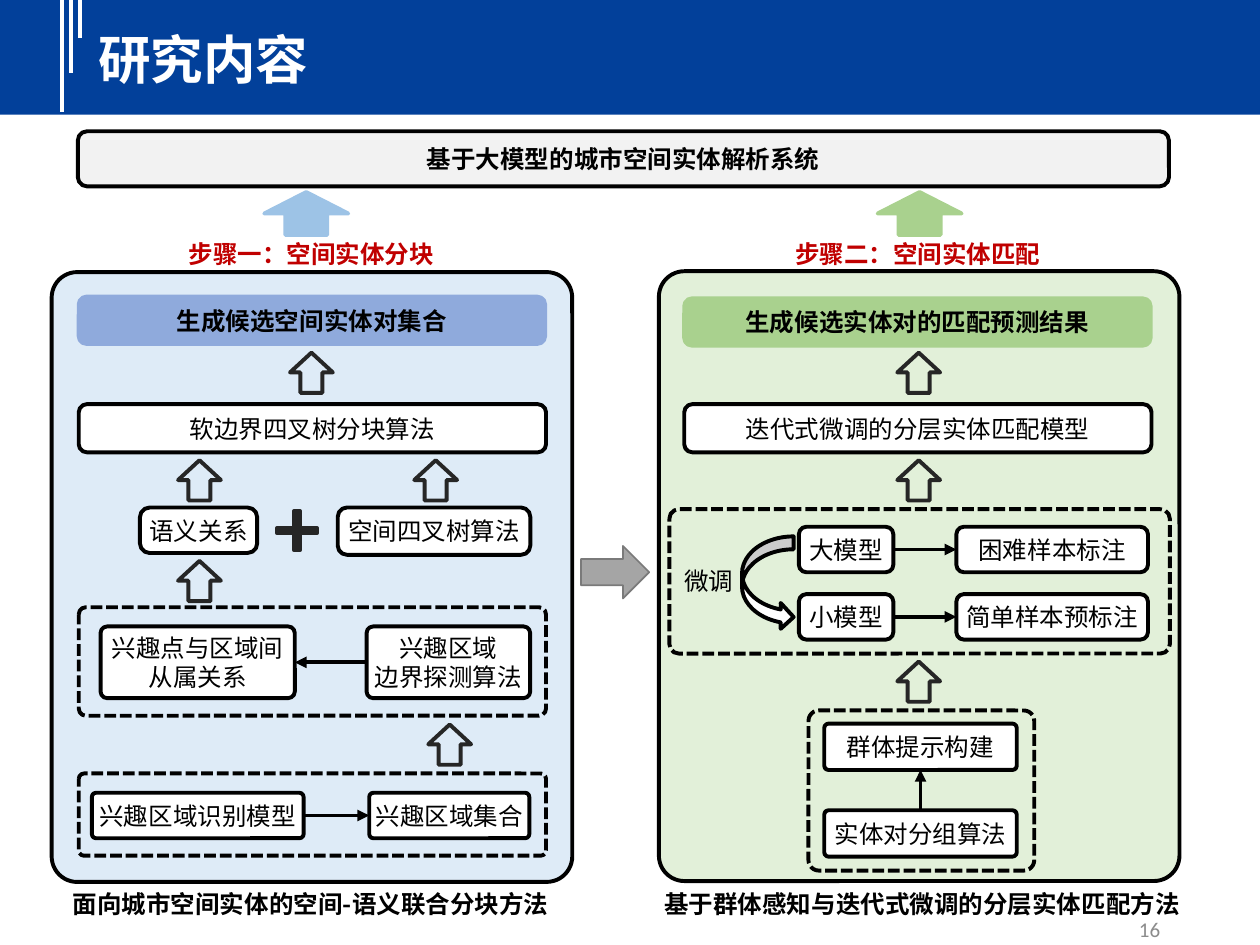
from dataclasses import dataclass

from lxml import etree
from pptx import Presentation
from pptx.dml.color import RGBColor
from pptx.enum.dml import MSO_LINE
from pptx.enum.shapes import MSO_CONNECTOR, MSO_SHAPE
from pptx.enum.text import MSO_ANCHOR, PP_ALIGN
from pptx.oxml.ns import qn
from pptx.util import Pt

STRAIGHT = MSO_CONNECTOR.STRAIGHT
ROUNDED, ARROW = MSO_SHAPE.ROUNDED_RECTANGLE, MSO_SHAPE.RIGHT_ARROW
RECT, PLUS, CURVED = MSO_SHAPE.RECTANGLE, MSO_SHAPE.CROSS, MSO_SHAPE.CURVED_RIGHT_ARROW
DASHED = MSO_LINE.SQUARE_DOT
MIDDLE = MSO_ANCHOR.MIDDLE
LEFT, CENTER, RIGHT = PP_ALIGN.LEFT, PP_ALIGN.CENTER, PP_ALIGN.RIGHT
TOP_SIDE, LEFT_SIDE, BOTTOM_SIDE, RIGHT_SIDE = range(4)

CJK = "Noto Sans CJK SC"
COLORS = {
    "black": "000000", "white": "FFFFFF", "navy": "02409A", "red": "C00000",
    "charcoal": "262626", "pale_gray": "F2F2F2", "gray": "A5A5A5",
    "dark_gray": "7A7A7A", "number": "8C8C8C", "sky": "9DC3E6",
    "pale_blue": "DEEBF7", "blue": "8FAADC", "pale_green": "E2F0D9", "green": "A9D18E",
}


@dataclass
class Box:
    x: float
    y: float
    w: float
    h: float
    text: str = ""
    fill: str | None = "white"
    line: str | None = "black"
    kind: int = ROUNDED
    adjust: tuple = ()
    bold: bool = False
    dashed: bool = False
    rotation: float = 0
    weight: float = 2.25


def rgb(name: str) -> RGBColor:
    return RGBColor.from_string(COLORS[name])


def write(frame, text: str, *, size=14, color="black", bold=False, align=CENTER,
          font=CJK, margin=0) -> None:
    frame.word_wrap = False
    frame.vertical_anchor = MIDDLE
    frame.margin_left = frame.margin_right = Pt(margin)
    frame.margin_top = frame.margin_bottom = 0
    for index, words in enumerate(text.split("\n")):
        paragraph = frame.add_paragraph() if index else frame.paragraphs[0]
        paragraph.alignment = align
        run = paragraph.add_run()
        run.text = words
        run.font.size, run.font.bold, run.font.name = Pt(size), bold, font
        run.font.color.rgb = rgb(color)
        etree.SubElement(run.font._element, qn("a:ea"), typeface=font)


def draw(slide, box: Box):
    shape = slide.shapes.add_shape(box.kind, Pt(box.x), Pt(box.y), Pt(box.w), Pt(box.h))
    shape.shadow.inherit = False
    shape.rotation = box.rotation
    for index, value in enumerate(box.adjust):
        shape.adjustments[index] = value
    if box.fill:
        shape.fill.solid()
        shape.fill.fore_color.rgb = rgb(box.fill)
    else:
        shape.fill.background()
    if box.line:
        shape.line.color.rgb = rgb(box.line)
        shape.line.width = Pt(box.weight)
        if box.dashed:
            shape.line.dash_style = DASHED
    else:
        shape.line.fill.background()
    if box.text:
        write(shape.text_frame, box.text, bold=box.bold)
    return shape


def caption(slide, x: float, y: float, w: float, h: float, text: str, **style) -> None:
    label = slide.shapes.add_textbox(Pt(x), Pt(y), Pt(w), Pt(h))
    write(label.text_frame, text, **style)


def rule(slide, x1: float, y1: float, x2: float, y2: float, color: str):
    line = slide.shapes.add_connector(STRAIGHT, Pt(x1), Pt(y1), Pt(x2), Pt(y2))
    line.line.color.rgb = rgb(color)
    line.line.width = Pt(2.25)
    etree.SubElement(line._element.spPr, qn("a:effectLst"))
    return line


def link(slide, source, source_side: int, target, target_side: int) -> None:
    line = rule(slide, 0, 0, 0, 0, "black")
    line.begin_connect(source, source_side)
    line.end_connect(target, target_side)
    etree.SubElement(line.line._get_or_add_ln(), qn("a:tailEnd"), type="triangle")


def up_arrow(slide, center_x: float, center_y: float, length=23, width=24.5,
             fill=None, line="charcoal", adjust=(0.512, 0.491)) -> None:
    draw(slide, Box(center_x - length / 2, center_y - width / 2, length, width,
                    fill=fill, line=line, kind=ARROW, adjust=adjust, rotation=270))


def header(slide) -> None:
    draw(slide, Box(0, 0, 720, 65.5, fill="navy", line=None, kind=RECT))
    for x, bottom in ((35.5, 64), (40.5, 41.5), (45.5, 21.5)):
        rule(slide, x, 0, x, bottom, "white")
    title = slide.shapes.title
    title.left, title.top, title.width, title.height = Pt(49), Pt(11.5), Pt(656.5), Pt(44)
    write(title.text_frame, "研究内容", size=30, color="white", bold=True,
          align=LEFT, margin=7.2)
    title.element.getparent().append(title.element)


def blocking_panel(slide) -> None:
    draw(slide, Box(29.5, 155.5, 297.5, 348.5, fill="pale_blue", adjust=(0.049,)))
    for y, h in ((347, 62), (442, 47)):
        draw(slide, Box(45, y, 267, h, fill=None, adjust=(0.065,), dashed=True))
    nodes = {
        "candidates": Box(45, 169.5, 266.5, 27, "生成候选空间实体对集合", "blue", "blue", bold=True),
        "quadtree_blocking": Box(45, 231, 267, 27.5, "软边界四叉树分块算法"),
        "semantics": Box(80, 290, 67, 26, "语义关系", adjust=(0.212,)),
        "quadtree": Box(193, 290, 110, 27, "空间四叉树算法", adjust=(0.194,)),
        "membership": Box(57.5, 358, 111, 41, "兴趣点与区域间\n从属关系", adjust=(0.092,)),
        "boundary": Box(209.5, 358, 93.5, 41, "兴趣区域\n边界探测算法", adjust=(0.092,)),
        "recognition": Box(52.5, 453, 121, 26, "兴趣区域识别模型", adjust=(0.092,)),
        "regions": Box(211, 453, 91.5, 26, "兴趣区域集合", adjust=(0.092,)),
    }
    drawn = {part: draw(slide, box) for part, box in nodes.items()}
    link(slide, drawn["recognition"], RIGHT_SIDE, drawn["regions"], LEFT_SIDE)
    link(slide, drawn["boundary"], LEFT_SIDE, drawn["membership"], RIGHT_SIDE)
    draw(slide, Box(158.5, 292, 22.5, 22.5, fill="charcoal", line="charcoal",
                    kind=PLUS, adjust=(0.43,)))
    for x, y in ((178, 213), (114, 274.5), (249, 274.5), (114, 332), (257, 425.5)):
        up_arrow(slide, x, y)


def matching_panel(slide) -> None:
    draw(slide, Box(376.5, 155, 297.5, 348.5, fill="pale_green", adjust=(0.049,)))
    for x, y, w, h in ((382.5, 291, 286, 82.5), (462, 406, 129, 91.5)):
        draw(slide, Box(x, y, w, h, fill=None, adjust=(0.065,), dashed=True))
    nodes = {
        "predictions": Box(391, 170.5, 266.5, 27, "生成候选实体对的匹配预测结果",
                           "green", "green", bold=True),
        "matcher": Box(391, 231, 267, 27.5, "迭代式微调的分层实体匹配模型"),
        "large": Box(456.5, 301, 54, 26, "大模型"),
        "hard_samples": Box(546.5, 301, 109.5, 26, "困难样本标注"),
        "small": Box(456.5, 339.5, 54, 26, "小模型"),
        "easy_samples": Box(546.5, 339.5, 109.5, 26, "简单样本预标注"),
        "group_prompt": Box(471, 413.5, 110, 26.5, "群体提示构建", adjust=(0.092,)),
        "grouping": Box(471, 463, 110, 26.5, "实体对分组算法", adjust=(0.092,)),
    }
    drawn = {part: draw(slide, box) for part, box in nodes.items()}
    link(slide, drawn["large"], RIGHT_SIDE, drawn["hard_samples"], LEFT_SIDE)
    link(slide, drawn["small"], RIGHT_SIDE, drawn["easy_samples"], LEFT_SIDE)
    link(slide, drawn["grouping"], TOP_SIDE, drawn["group_prompt"], BOTTOM_SIDE)
    caption(slide, 382.5, 320, 45, 24, "微调")
    draw(slide, Box(424, 306.5, 29.5, 53.5, kind=CURVED))
    for y in (213, 274.5, 389.5):
        up_arrow(slide, 525, y)


def main() -> None:
    deck = Presentation()
    deck.slide_width, deck.slide_height = Pt(720), Pt(540)
    slide = deck.slides.add_slide(deck.slide_layouts[5])
    header(slide)
    draw(slide, Box(44.5, 75, 623.5, 31.5, "基于大模型的城市空间实体解析系统",
                    "pale_gray", bold=True))
    blocking_panel(slide)
    matching_panel(slide)
    for x, color in ((175, "sky"), (525.5, "green")):
        up_arrow(slide, x, 122, 24.5, 48, color, color, (0.5, 0.5))
    draw(slide, Box(332, 312, 39, 30, fill="gray", line="dark_gray", kind=ARROW, weight=1))
    caption(slide, 75, 133, 206, 24.5, "步骤一：空间实体分块", color="red", bold=True)
    caption(slide, 439, 133, 171, 24.5, "步骤二：空间实体匹配", color="red", bold=True)
    caption(slide, 26, 504, 303, 24.5, "面向城市空间实体的空间-语义联合分块方法", bold=True)
    caption(slide, 369.5, 504, 315, 24.5, "基于群体感知与迭代式微调的分层实体匹配方法", bold=True)
    caption(slide, 508, 522, 155, 18, "16", size=12, color="number", align=RIGHT, font="Calibri")
    deck.save("out.pptx")


if __name__ == "__main__":
    main()
